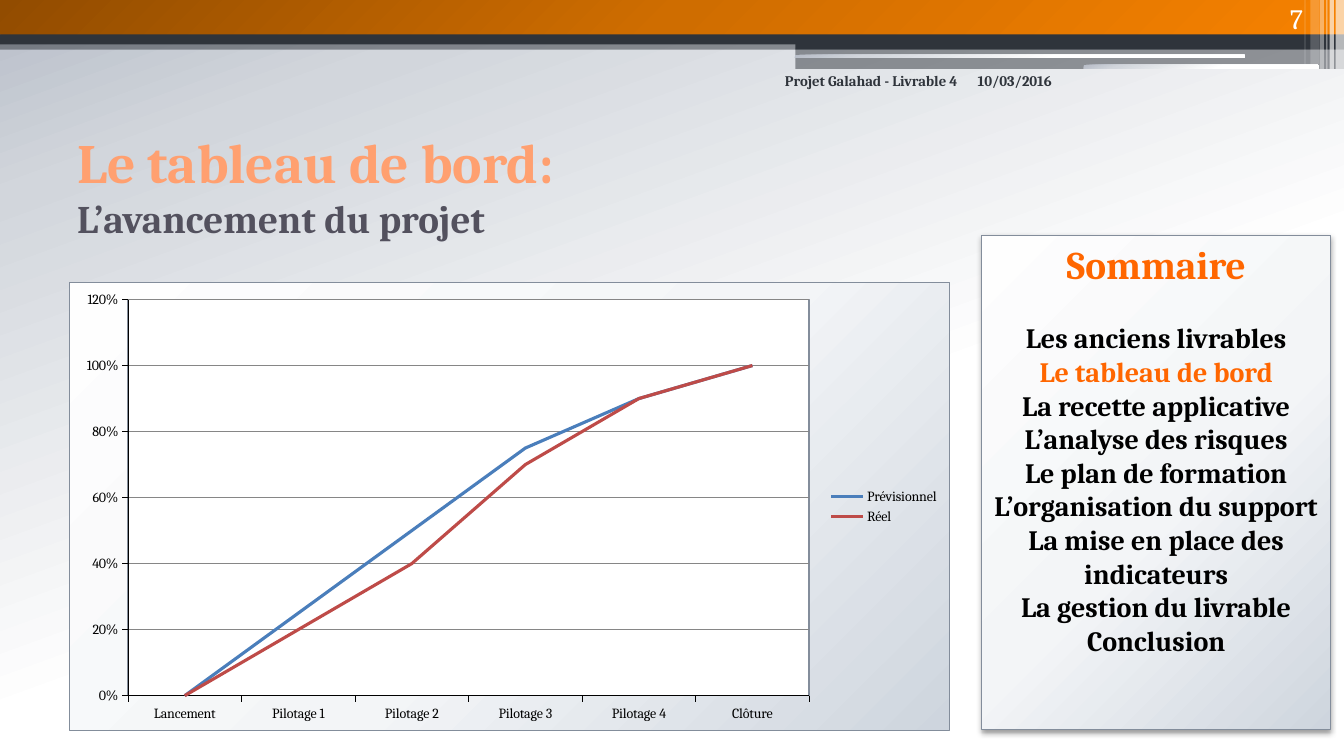
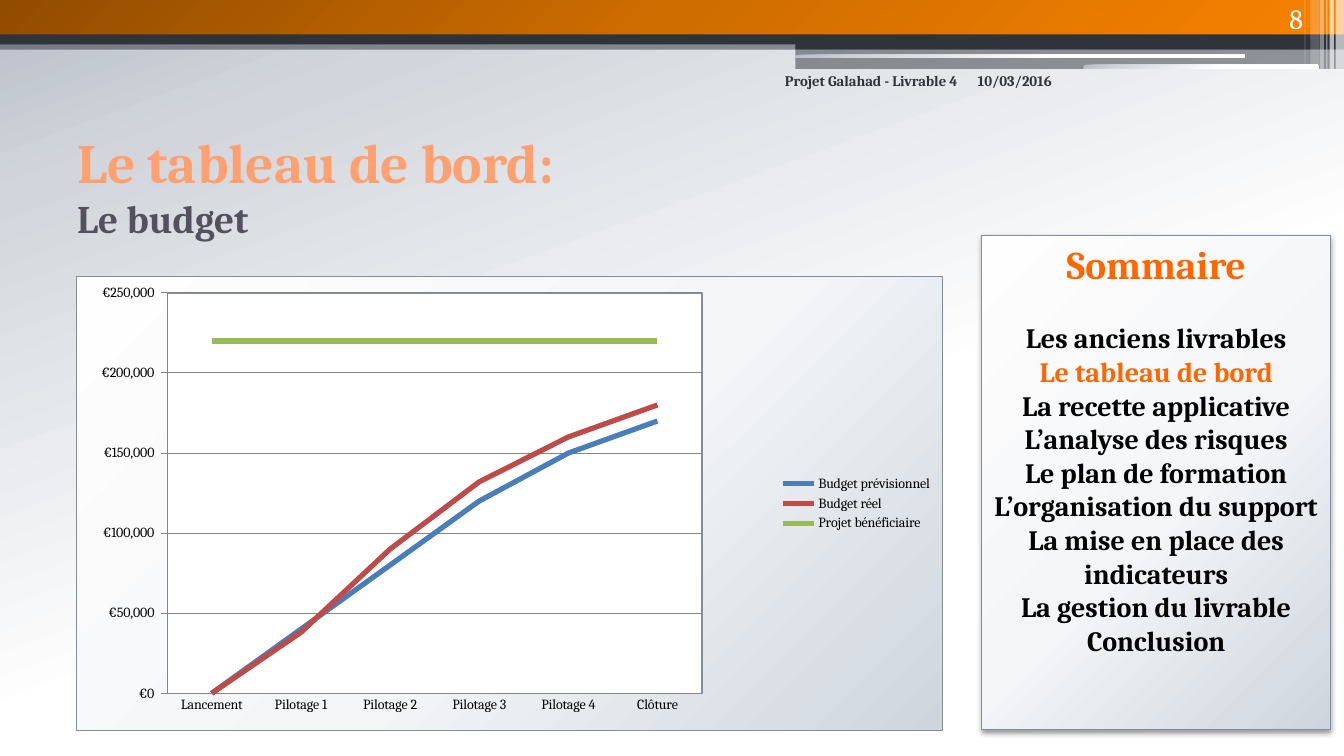
from dataclasses import dataclass
from typing import NamedTuple

from pptx import Presentation
from pptx.chart.data import CategoryChartData
from pptx.dml.color import RGBColor
from pptx.enum.chart import XL_CHART_TYPE, XL_LEGEND_POSITION, XL_TICK_MARK
from pptx.enum.shapes import MSO_SHAPE
from pptx.enum.text import MSO_ANCHOR, MSO_AUTO_SIZE, PP_ALIGN
from pptx.oxml import parse_xml
from pptx.oxml.ns import nsdecls, qn
from pptx.util import Inches, Pt

RECTANGLE, ROUNDED = MSO_SHAPE.RECTANGLE, MSO_SHAPE.ROUNDED_RECTANGLE
TOP, MIDDLE, BOTTOM = MSO_ANCHOR.TOP, MSO_ANCHOR.MIDDLE, MSO_ANCHOR.BOTTOM
LEFT, CENTER, RIGHT = PP_ALIGN.LEFT, PP_ALIGN.CENTER, PP_ALIGN.RIGHT
GROW = MSO_AUTO_SIZE.SHAPE_TO_FIT_TEXT
LINE_CHART, LEGEND_RIGHT = XL_CHART_TYPE.LINE, XL_LEGEND_POSITION.RIGHT
TICK_OUT, TICK_NONE = XL_TICK_MARK.OUTSIDE, XL_TICK_MARK.NONE

COLUMNS, ROWS = 160, 90


class Gradient(NamedTuple):
    stops: tuple
    direction: str


@dataclass(frozen=True)
class Theme:
    font: str = "Cambria"
    slate: str = "2F343B"
    white: str = "FFFFFF"
    black: str = "000000"
    title: str = "FFA070"
    title_outline: str = "F68100"
    subtitle: str = "53515E"
    accent: str = "FF6600"
    border: str = "838D9B"
    grid: str = "868686"
    series: tuple = ("4A7EBB", "BE4B48", "98B954")
    background: Gradient = Gradient(
        ((0, "B7BDC8"), (16, "D2D6DC"), (58, "FFFFFF")),
        '<a:lin ang="4200000" scaled="0"/>')
    banner: Gradient = Gradient(
        ((0, "924C00"), (50, "CF6D00"), (100, "F68100")),
        '<a:lin ang="2700000" scaled="0"/>')
    panel: Gradient = Gradient(
        ((0, "FEFEFE"), (55, "F3F5F7"), (100, "CED5DE")),
        '<a:path path="circle"><a:fillToRect l="-40000" t="-90000" '
        'r="140000" b="190000"/></a:path>')
    title_size: float = 39.6
    subtitle_size: float = 27.9
    heading_size: float = 28
    body_size: float = 20
    footer_size: float = 10.5
    chart_size: float = 10
    hairline: float = 0.75


THEME = Theme()

# left, top, width, height in grid cells, then fill and opacity in percent
BANDS = (
    (RECTANGLE, (0, 4.8, 160, 1.1), THEME.slate, 50),
    (RECTANGLE, (0, 0, 160, 4.1), THEME.banner, 100),
    (RECTANGLE, (0, 4.1, 160, 1.2), THEME.slate, 100),
    (RECTANGLE, (94.7, 4.7, 65.3, 1.2), THEME.slate, 100),
    (RECTANGLE, (94.7, 5.8, 65.3, 2.4), THEME.slate, 50),
    (ROUNDED, (94.6, 6.5, 53.6, 0.4), THEME.background, 100),
    (ROUNDED, (129, 7.7, 28, 0.5), THEME.background, 100),
)
# left, width, height, opacity
STRIPES = ((159, 1, 8.2, 65), (158.3, 0.5, 8.2, 65), (157.9, 0.12, 8.2, 60),
           (157.1, 0.5, 8.2, 40), (156, 1, 7.7, 20), (155.3, 0.12, 7.7, 30))

TITLE = "Le tableau de bord:"
CURRENT_TOPIC = "Le tableau de bord"
TOPICS = ("Les anciens livrables", CURRENT_TOPIC, "La recette applicative",
          "L’analyse des risques", "Le plan de formation",
          "L’organisation du support", "La mise en place des indicateurs",
          "La gestion du livrable", "Conclusion")
STAGES = ("Lancement", "Pilotage 1", "Pilotage 2", "Pilotage 3", "Pilotage 4",
          "Clôture")

DASHBOARDS = (
    dict(number="7", subtitle="L’avancement du projet", chart=dict(
        box=(8.2, 33.6, 104.9, 53.4),
        series={"Prévisionnel": (0, 0.25, 0.5, 0.75, 0.9, 1),
                "Réel": (0, 0.2, 0.4, 0.7, 0.9, 1)},
        number_format="0%", maximum=1.2, step=0.2, weight=2.25,
        axis_color=THEME.black, category_tick=TICK_OUT)),
    dict(number="8", subtitle="Le budget", chart=dict(
        box=(9.1, 32.9, 103.2, 54.1),
        series={"Budget prévisionnel": (0, 40000, 80000, 120000, 150000, 170000),
                "Budget réel": (0, 38000, 90000, 132000, 160000, 180000),
                "Projet bénéficiaire": (220000,) * len(STAGES)},
        number_format='[$€-40C]#,##0" ";[Red]"("[$€-40C]#,##0")"',
        maximum=250000, step=50000, weight=3.75,
        axis_color=THEME.grid, category_tick=TICK_NONE,
        layout=dict(x=0.028, y=0.018, w=0.694, h=0.944))),
)


def assign(target, values):
    for name, value in values.items():
        setattr(target, name, value)


def gradient_xml(gradient):
    stops = "".join(
        f'<a:gs pos="{position * 1000}"><a:srgbClr val="{color}"/></a:gs>'
        for position, color in gradient.stops)
    return (f'<a:gradFill {nsdecls("a")} rotWithShape="1">'
            f'<a:gsLst>{stops}</a:gsLst>{gradient.direction}</a:gradFill>')


def line_xml(color, points):
    return (f'<a:ln {nsdecls("a")} w="{Pt(points)}"><a:solidFill>'
            f'<a:srgbClr val="{color}"/></a:solidFill></a:ln>')


def paint(fill, properties, paint_style, opacity=100):
    """Fill with a colour or a gradient; properties is the fill's XML parent."""
    if isinstance(paint_style, Gradient):
        fill.gradient()
        properties.replace(properties.find(qn("a:gradFill")),
                           parse_xml(gradient_xml(paint_style)))
        return
    fill.solid()
    fill.fore_color.rgb = RGBColor.from_string(paint_style)
    if opacity < 100:
        color = properties.find(qn("a:solidFill")).find(qn("a:srgbClr"))
        color.append(parse_xml(
            f'<a:alpha {nsdecls("a")} val="{opacity * 1000}"/>'))


def draw_line(line, color, points):
    line.color.rgb = RGBColor.from_string(color)
    line.width = Pt(points)


def chart_frame(fill, line):
    return parse_xml(f'<c:spPr {nsdecls("c", "a")}>{fill}{line}</c:spPr>')


class Deck:
    """Holds the theme, the presentation and the slide being drawn."""

    def __init__(self, theme):
        self.theme = theme
        self.presentation = Presentation()
        assign(self.presentation, dict(slide_width=Inches(13.33),
                                       slide_height=Inches(7.5)))
        self.slide = None

    def place(self, box):
        """Turn grid cells into slide lengths."""
        column = self.presentation.slide_width / COLUMNS
        row = self.presentation.slide_height / ROWS
        return [round(cells * unit)
                for cells, unit in zip(box, (column, row, column, row))]

    def new_slide(self):
        blank = self.presentation.slide_layouts[6]
        self.slide = self.presentation.slides.add_slide(blank)
        fill = self.slide.background.fill
        fill.solid()
        properties = self.slide.element.find(".//" + qn("p:bgPr"))
        paint(fill, properties, self.theme.background)

    def shape(self, kind, box, fill, opacity=100):
        shape = self.slide.shapes.add_shape(kind, *self.place(box))
        shape.shadow.inherit = False
        shape.line.fill.background()
        paint(shape.fill, shape.element.spPr, fill, opacity)
        return shape

    def header(self):
        for kind, box, fill, opacity in BANDS:
            self.shape(kind, box, fill, opacity)
        for left, width, height, opacity in STRIPES:
            self.shape(RECTANGLE, (left, 0, width, height),
                       self.theme.white, opacity)

    def run(self, paragraph, text, size, color, bold=True):
        run = paragraph.add_run()
        run.text = text
        assign(run.font, dict(name=self.theme.font, size=Pt(size), bold=bold))
        run.font.color.rgb = RGBColor.from_string(color)
        return run

    def text_box(self, box, alignment=LEFT, anchor=TOP):
        """Add an empty text box and return its paragraph."""
        frame = self.slide.shapes.add_textbox(*self.place(box)).text_frame
        assign(frame, dict(word_wrap=True, vertical_anchor=anchor))
        paragraph = frame.paragraphs[0]
        paragraph.alignment = alignment
        return paragraph

    def title(self, title, subtitle):
        theme = self.theme
        paragraph = self.text_box((8, 15, 106.9, 14), anchor=MIDDLE)
        run = self.run(paragraph, title, theme.title_size, theme.title)
        run.font._element.insert(0, parse_xml(line_xml(theme.title_outline, 1)))
        paragraph.add_line_break()
        self.run(paragraph, subtitle, theme.subtitle_size, theme.subtitle)

    def footer(self, number):
        theme = self.theme
        self.run(self.text_box((115.2, 8, 16.8, 6)), "10/03/2016",
                 theme.footer_size, theme.slate)
        self.run(self.text_box((92, 8, 23.2, 6), RIGHT),
                 "Projet Galahad - Livrable 4", theme.footer_size, theme.slate)
        self.run(self.text_box((143, 0, 13.3, 4.8), RIGHT, BOTTOM), number,
                 theme.body_size, theme.white, bold=False)

    def summary(self, topics, current):
        theme = self.theme
        panel = self.shape(RECTANGLE, (116.9, 28, 41.5, 58.9), theme.panel)
        draw_line(panel.line, theme.border, theme.hairline)
        panel.element.spPr.find(qn("a:effectLst")).append(parse_xml(
            f'<a:outerShdw {nsdecls("a")} blurRad="{Pt(4.1)}" dist="{Pt(2)}" '
            f'dir="5400000" rotWithShape="0"><a:srgbClr val="{theme.black}">'
            '<a:alpha val="40000"/></a:srgbClr></a:outerShdw>'))
        frame = panel.text_frame
        assign(frame, dict(word_wrap=True, vertical_anchor=TOP, auto_size=GROW))
        heading = frame.paragraphs[0]
        assign(heading, dict(alignment=CENTER, space_after=Pt(24)))
        self.run(heading, "Sommaire", theme.heading_size, theme.accent)
        for topic in topics:
            paragraph = frame.add_paragraph()
            paragraph.alignment = CENTER
            self.run(paragraph, topic, theme.body_size,
                     theme.accent if topic == current else theme.black)

    def line_chart(self, box, series, number_format, maximum, step, weight,
                   axis_color, category_tick, layout=None):
        theme = self.theme
        data = CategoryChartData(number_format=number_format)
        data.categories = STAGES
        for name, values in series.items():
            data.add_series(name, values)
        chart = self.slide.shapes.add_chart(
            LINE_CHART, *self.place(box), data).chart
        assign(chart, dict(has_title=False, has_legend=True))
        assign(chart.legend, dict(position=LEGEND_RIGHT, include_in_layout=False))
        assign(chart.font, dict(name=theme.font, size=Pt(theme.chart_size)))
        chart.font.color.rgb = RGBColor.from_string(theme.black)
        chart.plots[0].vary_by_categories = False
        for line, color in zip(chart.plots[0].series, theme.series):
            line.smooth = False
            draw_line(line.format.line, color, weight)

        value_axis, category_axis = chart.value_axis, chart.category_axis
        assign(value_axis, dict(
            minimum_scale=0, maximum_scale=maximum, major_unit=step,
            has_major_gridlines=True, major_tick_mark=TICK_OUT))
        assign(value_axis.tick_labels, dict(
            number_format=number_format, number_format_is_linked=False))
        category_axis.major_tick_mark = category_tick
        for axis in (value_axis, category_axis):
            axis.minor_tick_mark = TICK_NONE
            draw_line(axis.format.line, axis_color, theme.hairline)
        draw_line(value_axis.major_gridlines.format.line, theme.grid,
                  theme.hairline)
        self.frame_chart(chart, layout)

    def frame_chart(self, chart, layout):
        """Fill the chart and plot areas, and set the plot's place if given."""
        theme = self.theme
        space = chart.element
        if space.find(qn("c:roundedCorners")) is None:
            space.find(qn("c:date1904")).addnext(
                parse_xml(f'<c:roundedCorners {nsdecls("c")} val="0"/>'))
        space.find(qn("c:chart")).addnext(chart_frame(
            gradient_xml(theme.panel), line_xml(theme.border, theme.hairline)))
        plot_area = space.find(".//" + qn("c:plotArea"))
        plot_area.append(chart_frame(
            f'<a:solidFill><a:srgbClr val="{theme.white}"/></a:solidFill>',
            line_xml(theme.border, 1)))
        if layout:
            for old in plot_area.findall(qn("c:layout")):
                plot_area.remove(old)
            parts = '<c:xMode val="edge"/><c:yMode val="edge"/>' + "".join(
                f'<c:{name} val="{share}"/>' for name, share in layout.items())
            plot_area.insert(0, parse_xml(
                f'<c:layout {nsdecls("c")}><c:manualLayout>{parts}'
                '</c:manualLayout></c:layout>'))


def main():
    deck = Deck(THEME)
    for dashboard in DASHBOARDS:
        deck.new_slide()
        deck.header()
        deck.title(TITLE, dashboard["subtitle"])
        deck.footer(dashboard["number"])
        deck.summary(TOPICS, CURRENT_TOPIC)
        deck.line_chart(**dashboard["chart"])
    deck.presentation.save("out.pptx")


if __name__ == "__main__":
    main()
